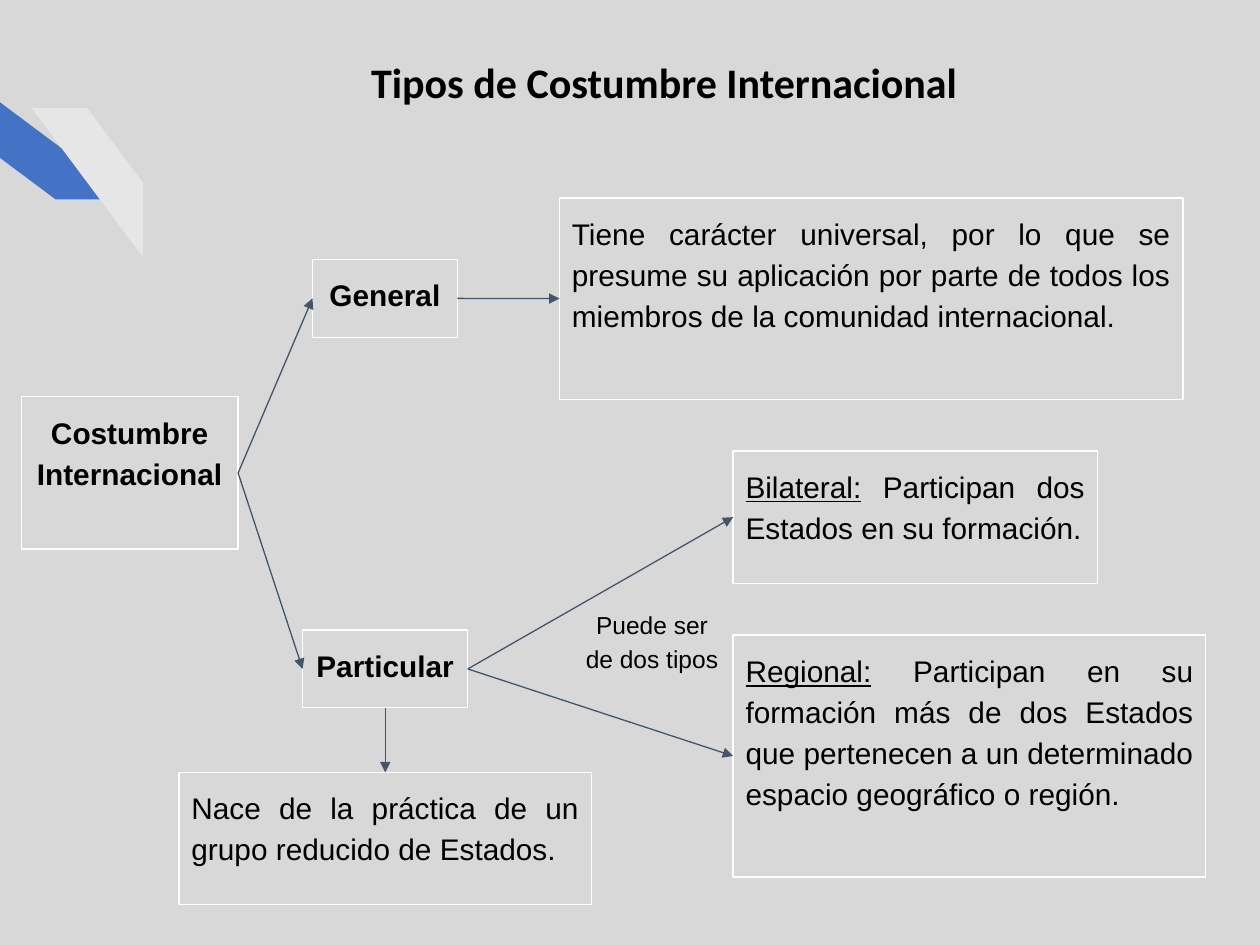
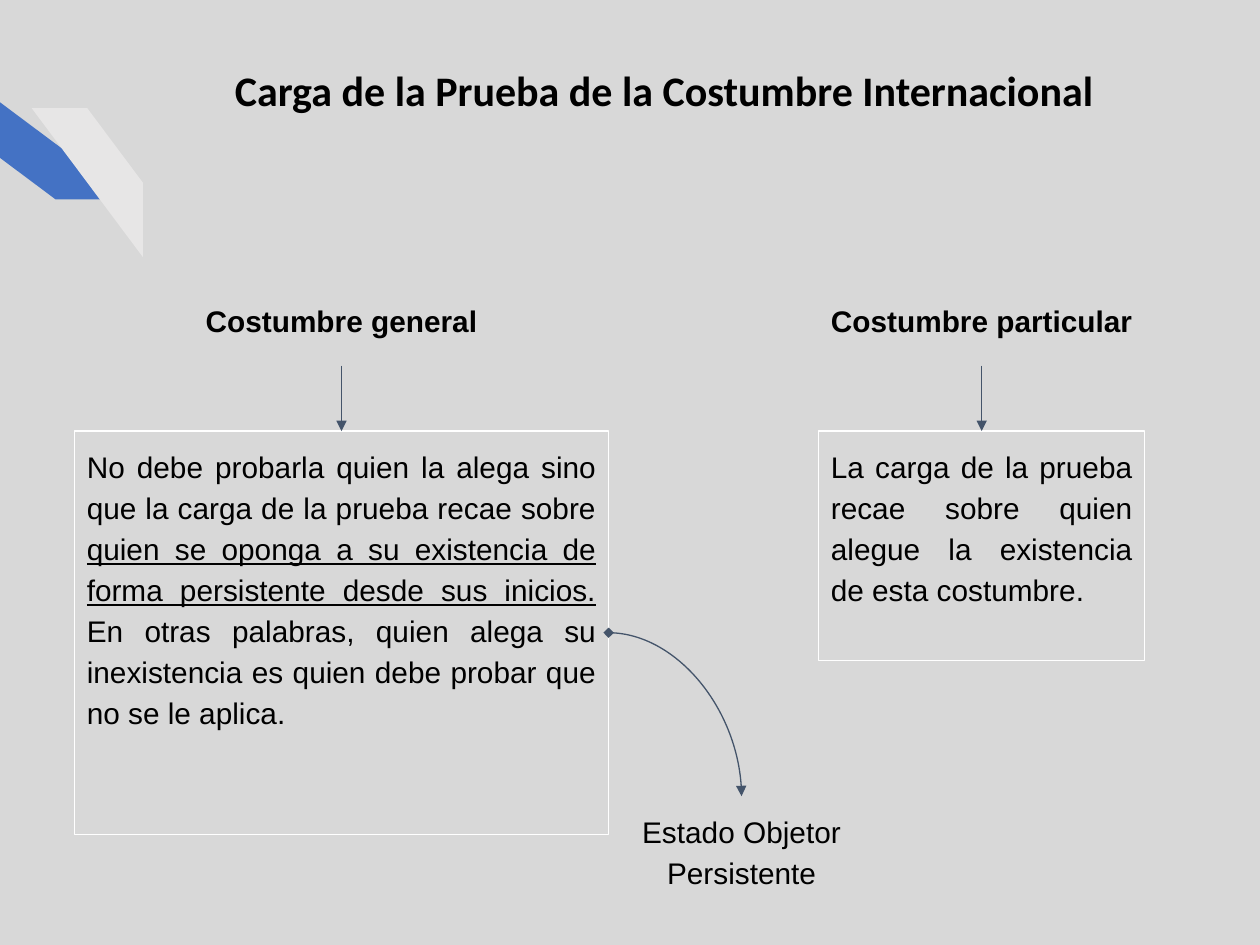
from dataclasses import dataclass
from typing import NamedTuple

from lxml.etree import SubElement
from pptx import Presentation
from pptx.dml.color import RGBColor
from pptx.enum.shapes import MSO_CONNECTOR, MSO_SHAPE
from pptx.enum.text import MSO_ANCHOR, MSO_AUTO_SIZE, PP_ALIGN
from pptx.oxml.ns import qn
from pptx.util import Cm, Pt

# Shared look
BACK, BLUE, PALE = "D8D8D8", "4472C4", "E7E6E6"
WHITE, BLACK, SLATE = "FFFFFF", "000000", "44546A"
INSET = Cm(0.25)
TOP, LEFT, BOTTOM, RIGHT = range(4)


class Spot(NamedTuple):
    left: float
    top: float
    width: float
    height: float

    def lengths(self) -> list:
        return [Cm(n) for n in self]


class Run(NamedTuple):
    text: str
    under: bool = False


class Stripe(NamedTuple):
    spot: Spot
    fill: str
    flip: str


@dataclass
class Box:
    spot: Spot
    runs: list
    align: PP_ALIGN = PP_ALIGN.JUSTIFY
    bold: bool = False
    frame: bool = True
    size: int = 17


class Link(NamedTuple):
    start: str
    out: int
    end: str
    into: int


STRIPES = [
    Stripe(Spot(-0.38, 1.78, 3, 2.24), BLUE, "flipV"),
    Stripe(Spot(0.64, 2.18, 2.24, 3), PALE, "flipH"),
]


def color(code: str) -> RGBColor:
    return RGBColor.from_string(code)


def label(spot: Spot, text: str, **style) -> Box:
    """A centred text."""
    return Box(spot, [Run(text)], PP_ALIGN.CENTER, **style)


# Text
def write(frame, runs: list, align, size: int, font: str, bold: bool):
    frame.word_wrap = True
    frame.auto_size = MSO_AUTO_SIZE.NONE
    frame.vertical_anchor = MSO_ANCHOR.TOP
    frame.margin_left = frame.margin_right = INSET
    frame.margin_top = frame.margin_bottom = INSET
    para = frame.paragraphs[0]
    para.alignment = align
    for part in runs:
        run = para.add_run()
        run.text = part.text
        run.font.name = font
        run.font.size = Pt(size)
        run.font.bold = bold
        run.font.underline = part.under
        run.font.color.rgb = color(BLACK)
    return para


# Boxes, framed or plain
def add_box(slide, box: Box):
    place = box.spot.lengths()
    if box.frame:
        shape = slide.shapes.add_shape(MSO_SHAPE.RECTANGLE, *place)
        shape.shadow.inherit = False
        shape.fill.background()
        shape.line.color.rgb = color(WHITE)
        shape.line.width = Pt(0.75)
    else:
        shape = slide.shapes.add_textbox(*place)
    para = write(shape.text_frame, box.runs, box.align, box.size, "Arial", box.bold)
    para.line_spacing = 1.15
    if box.frame:
        para.space_after = Pt(16)
    return shape


# Arrows
def add_arrow(slide, kind, ends: tuple, head: str = "none"):
    arrow = slide.shapes.add_connector(kind, *ends)
    arrow.line.color.rgb = color(SLATE)
    arrow.line.width = Pt(0.75)
    line = arrow.line._get_or_add_ln()
    SubElement(line, qn("a:headEnd"), type=head)
    SubElement(line, qn("a:tailEnd"), type="triangle")
    SubElement(arrow.element.spPr, qn("a:effectLst"))
    return arrow


def join(slide, shapes: dict, link: Link) -> None:
    arrow = add_arrow(slide, MSO_CONNECTOR.STRAIGHT, (0, 0, 0, 0))
    arrow.begin_connect(shapes[link.start], link.out)
    arrow.end_connect(shapes[link.end], link.into)


def add_curve(slide, start, end) -> None:
    """From the right side of one shape to the top of another."""
    ends = (start.left + start.width, start.top + start.height // 2,
            end.left + end.width // 2, end.top)
    arrow = add_arrow(slide, MSO_CONNECTOR.CURVE, ends, "diamond")
    arrow.element.spPr.find(qn("a:prstGeom")).set("prst", "curvedConnector2")


# Background and corner stripes, held by the layout
def dress(layout, slide) -> None:
    layout.background.fill.solid()
    layout.background.fill.fore_color.rgb = color(BACK)
    for rank, stripe in enumerate(STRIPES):
        shape = slide.shapes.add_shape(MSO_SHAPE.DIAGONAL_STRIPE, *stripe.spot.lengths())
        shape.shadow.inherit = False
        shape.fill.solid()
        shape.fill.fore_color.rgb = color(stripe.fill)
        shape.line.fill.background()
        shape.element.spPr.find(qn("a:xfrm")).set(stripe.flip, "1")
        layout.shapes.element.insert(2 + rank, shape.element)


def fill_slide(slide, title: str, top: float, boxes: dict, links: list) -> dict:
    head = slide.shapes.title
    head.left, head.top, head.width, head.height = Spot(3.61, top, 19.56, 3.38).lengths()
    write(head.text_frame, [Run(title)], PP_ALIGN.CENTER, 24, "Calibri", True)
    shapes = {name: add_box(slide, box) for name, box in boxes.items()}
    for link in links:
        join(slide, shapes, link)
    return shapes


# Slide 1: types of custom
TYPES = {
    "custom": label(Spot(0.43, 8, 4.37, 3.07), "Costumbre Internacional", bold=True),
    "general": label(Spot(6.3, 5.23, 2.92, 1.57), "General", bold=True),
    "local": label(Spot(6.1, 12.7, 3.33, 1.57), "Particular", bold=True),
    "global": Box(Spot(11.28, 3.99, 12.57, 4.06), [
        Run("Tiene carácter universal, por lo que se presume su aplicación por "
            "parte de todos los miembros de la comunidad internacional.")]),
    "birth": Box(Spot(3.61, 15.57, 8.31, 2.67), [
        Run("Nace de la práctica de un grupo reducido de Estados.")]),
    "pair": Box(Spot(14.78, 9.09, 7.34, 2.67), [
        Run("Bilateral:", True),
        Run(" Participan dos Estados en su formación.")]),
    "region": Box(Spot(14.78, 12.8, 9.53, 4.88), [
        Run("Regional:", True),
        Run(" Participan en su formación más de dos Estados que pertenecen a un "
            "determinado espacio geográfico o región.")]),
    "note": label(Spot(11.48, 11.96, 3.33, 3.07), "Puede ser de dos tipos",
                  frame=False, size=14),
}
TYPE_LINKS = [
    Link("custom", RIGHT, "general", LEFT),
    Link("custom", RIGHT, "local", LEFT),
    Link("local", RIGHT, "pair", LEFT),
    Link("local", RIGHT, "region", LEFT),
    Link("local", BOTTOM, "birth", TOP),
    Link("general", RIGHT, "global", LEFT),
]

# Slide 2: burden of proof
PROOF = {
    "general": label(Spot(3.81, 5.74, 6.15, 1.63), "Costumbre general",
                     bold=True, frame=False),
    "local": label(Spot(16.41, 5.74, 6.76, 1.63), "Costumbre particular",
                   bold=True, frame=False),
    "claim": Box(Spot(16.5, 8.69, 6.58, 4.62), [
        Run("La carga de la prueba recae sobre quien alegue la existencia de "
            "esta costumbre.")]),
    "denial": Box(Spot(1.5, 8.69, 10.77, 8.13), [
        Run("No debe probarla quien la alega sino que la carga de la prueba "
            "recae sobre "),
        Run("quien se oponga a su existencia de forma persistente desde sus "
            "inicios.", True),
        Run(" En otras palabras, quien alega su inexistencia es quien debe "
            "probar que no se le aplica.")]),
    "state": label(Spot(12.27, 16.05, 5.36, 2.31), "Estado Objetor Persistente",
                   frame=False),
}
PROOF_LINKS = [
    Link("general", BOTTOM, "denial", TOP),
    Link("local", BOTTOM, "claim", TOP),
]


def main() -> None:
    deck = Presentation()
    deck.slide_width, deck.slide_height = Cm(25.4), Cm(19.05)
    layout = deck.slide_layouts.get_by_name("Title Only")
    first = deck.slides.add_slide(layout)
    dress(layout, first)
    fill_slide(first, "Tipos de Costumbre Internacional", 0.89, TYPES, TYPE_LINKS)
    second = deck.slides.add_slide(layout)
    shapes = fill_slide(second, "Carga de la Prueba de la Costumbre Internacional",
                        1.04, PROOF, PROOF_LINKS)
    add_curve(second, shapes["denial"], shapes["state"])
    deck.save("out.pptx")


if __name__ == "__main__":
    main()
